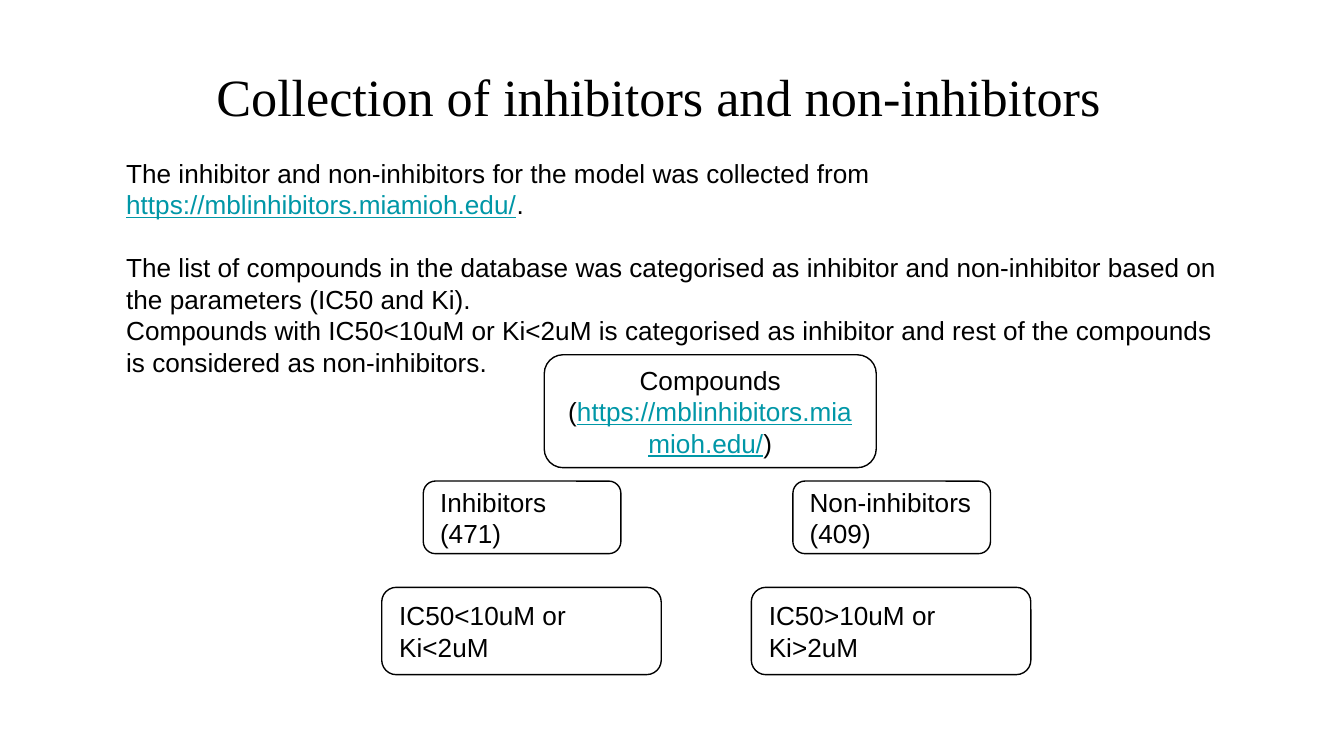
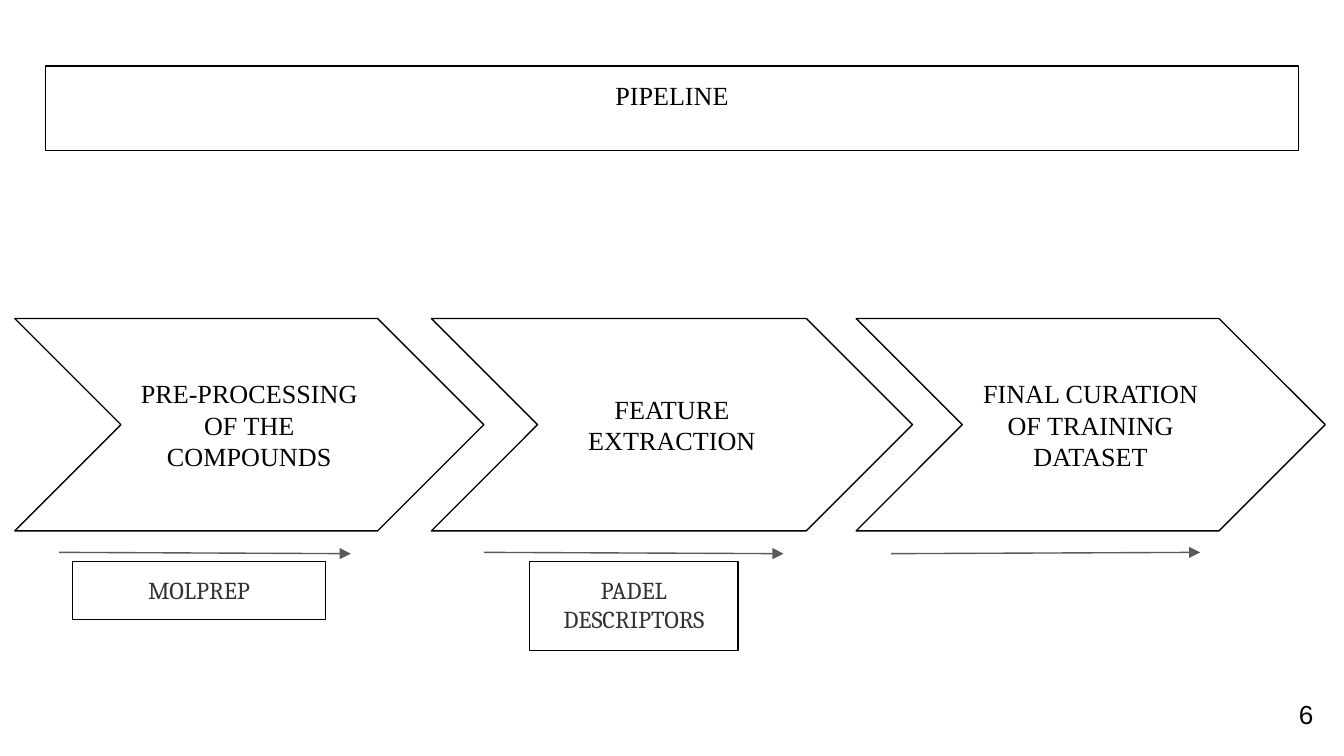
from typing import NamedTuple

from lxml import etree
from pptx import Presentation, util as u
from pptx.dml.color import RGBColor
from pptx.enum import shapes, text
from pptx.oxml.ns import qn

SCALE = 9144  # EMU in one px, 100 px to the inch
WIDTH = 1000
COLORS = {"ink": "000000", "paper": "FFFFFF", "link": "0097A7",
          "arrow": "595959", "tool": "333333"}
SANS, SERIF, TOOL = "Arial", "Times New Roman", "Cambria"
LINK = "https://mblinhibitors.miamioh.edu/"
LEFT, MID, RIGHT = text.PP_ALIGN.LEFT, text.PP_ALIGN.CENTER, text.PP_ALIGN.RIGHT
KIND = shapes.MSO_SHAPE


class Box(NamedTuple):
    words: str
    x: int
    y: int
    w: int
    h: int


class Arrow(NamedTuple):
    x1: int
    y1: int
    x2: int
    y2: int


BODY = (
    f"The inhibitor and non-inhibitors for the model was collected from {LINK}.",
    "The list of compounds in the database was categorised as inhibitor and "
    "non-inhibitor based on the parameters (IC50 and Ki).",
    "Compounds with IC50<10uM or Ki<2uM is categorised as inhibitor and rest "
    "of the compounds is considered as non-inhibitors.",
)
ROOT = Box(f"Compounds ({LINK})", 405, 264, 247, 84)
BRANCHES = (
    (388, "Inhibitors (471)", "IC50<10uM or Ki<2uM"),
    (663, "Non-inhibitors (409)", "IC50>10uM or Ki>2uM"),
)
STEPS = (
    Box("PRE-PROCESSING OF THE COMPOUNDS", 11, 237, 349, 158),
    Box("FEATURE EXTRACTION", 321, 237, 358, 158),
    Box("FINAL CURATION OF TRAINING DATASET", 637, 237, 349, 158),
)
ARROWS = (Arrow(44, 411, 261, 412), Arrow(360, 411, 583, 412),
          Arrow(663, 412, 893, 411))
TOOLS = (Box("MOLPREP", 54, 418, 188, 43),
         Box("PADEL DESCRIPTORS", 394, 418, 155, 66))


def px(n: int) -> u.Emu:
    return u.Emu(n * SCALE)


def tint(name: str) -> RGBColor:
    return RGBColor.from_string(COLORS[name])


def write(shape, *paras: str, font: str = SANS, size: int = 14,
          color: str = "ink", align=LEFT, mid: bool = False,
          gaps: tuple = ()) -> None:
    """Fill a shape with paragraphs; gaps holds the points before each one."""
    frame = shape.text_frame
    frame.word_wrap = True
    frame.vertical_anchor = text.MSO_ANCHOR.MIDDLE if mid else text.MSO_ANCHOR.TOP
    frame.margin_left = frame.margin_right = px(10)
    frame.margin_top = frame.margin_bottom = px(10)
    for i, words in enumerate(paras):
        para = frame.add_paragraph() if i else frame.paragraphs[0]
        para.alignment = align
        if gaps:
            para.space_before = u.Pt(gaps[i])
        for part in filter(None, words.partition(LINK)):
            run = para.add_run()
            run.text = part
            run.font.name = font
            run.font.size = u.Pt(size)
            run.font.color.rgb = tint("link" if part == LINK else color)
            run.font.underline = part == LINK


def label(slide, box: Box, **form) -> None:
    shape = slide.shapes.add_textbox(*map(px, box[1:]))
    write(shape, box.words, **form)


def frame(slide, kind, box: Box, fill: str = "", **form) -> None:
    """Draw an outlined shape with its text."""
    shape = slide.shapes.add_shape(kind, *map(px, box[1:]))
    shape.shadow.inherit = False
    if fill:
        shape.fill.solid()
        shape.fill.fore_color.rgb = tint(fill)
    else:
        shape.fill.background()
    shape.line.color.rgb = tint("ink")
    shape.line.width = u.Pt(0.75)
    write(shape, box.words, **form)


def draw(slide, arrow: Arrow) -> None:
    line = slide.shapes.add_connector(shapes.MSO_CONNECTOR.STRAIGHT,
                                      *map(px, arrow))
    line.line.color.rgb = tint("arrow")
    line.line.width = u.Pt(0.75)
    props = line.element.spPr
    etree.SubElement(props.find(qn("a:ln")), qn("a:tailEnd"), type="triangle")
    etree.SubElement(props, qn("a:effectLst"))


def sources(slide) -> None:
    label(slide, Box("Collection of inhibitors and non-inhibitors",
                     115, 38, 750, 60), font=SERIF, size=28, align=MID)
    body = slide.shapes.add_textbox(*map(px, (84, 107, 841, 185)))
    write(body, *BODY, gaps=(0, 17, 0))
    node = KIND.FLOWCHART_ALTERNATE_PROCESS
    frame(slide, node, ROOT, align=MID, mid=True)
    for x, name, rule in BRANCHES:
        for words, y, w, h in ((name, 358, 147, 54), (rule, 437, 208, 65)):
            frame(slide, node, Box(words, x - w // 2, y, w, h), mid=True)


def pipeline(slide) -> None:
    frame(slide, KIND.RECTANGLE, Box("PIPELINE", 34, 49, 932, 63),
          font=SERIF, align=MID)
    label(slide, Box("6", 927, 510, 60, 43), align=RIGHT, mid=True)
    for step in STEPS:
        frame(slide, KIND.CHEVRON, step, fill="paper", font=SERIF,
              align=MID, mid=True)
    for arrow in ARROWS:
        draw(slide, arrow)
    for tool in TOOLS:
        frame(slide, KIND.RECTANGLE, tool, font=TOOL, size=13, color="tool",
              align=MID)


def main() -> None:
    deck = Presentation()
    deck.slide_width = px(WIDTH)
    deck.slide_height = u.Emu(px(WIDTH) * 9 // 16)
    for build in (sources, pipeline):
        slide = deck.slides.add_slide(deck.slide_layouts[6])
        slide.background.fill.solid()
        slide.background.fill.fore_color.rgb = tint("paper")
        build(slide)
    deck.save("out.pptx")


if __name__ == "__main__":
    main()
